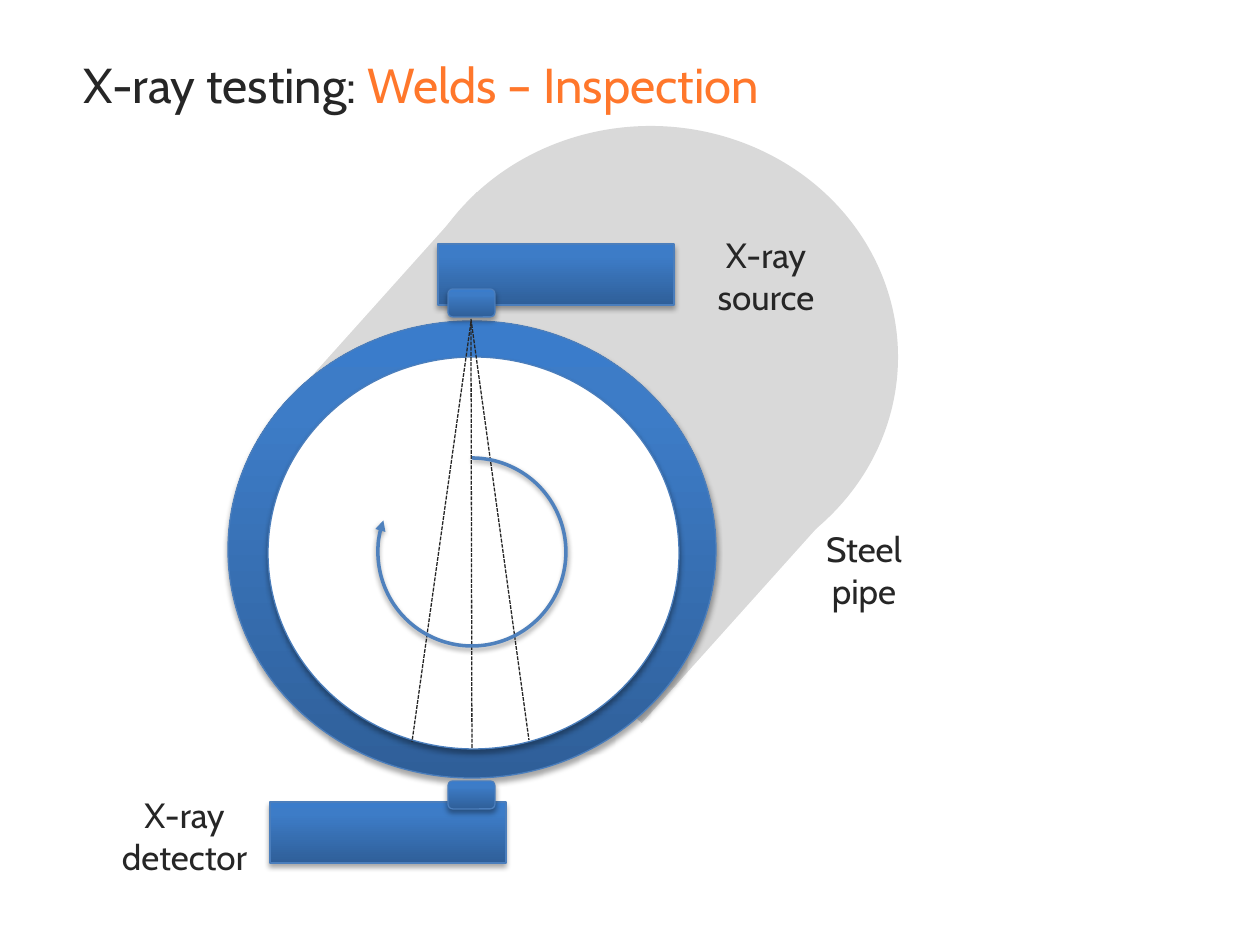
import pptx
import pptx.util
import pptx.dml.color
import pptx.enum.dml
import pptx.enum.shapes
import pptx.enum.text
import pptx.oxml
import pptx.oxml.ns

KIND = pptx.enum.shapes.MSO_SHAPE
ALIGN = pptx.enum.text.PP_ALIGN
NS = pptx.oxml.ns.nsdecls("a")
FONT = "Cabin"
HUES = {
    "ink": "262626", "accent": "FF772B", "pipe": "D9D9D9", "white": "FFFFFF",
    "edge": "4B7EBC", "turn": "4F81BD", "black": "000000",
    "dark": "2F5F99", "mid": "3D7CC7", "light": "3A7CCB",
}
STEEL = [(0, "dark"), (80, "mid"), (100, "light")]


def px(num):
    return pptx.util.Emu(round(num * 914400 / 126))


def hue(name):
    return pptx.dml.color.RGBColor.from_string(HUES[name])


def paint(shape, fill):
    if fill is None:
        shape.fill.background()
    elif fill == "steel":
        shape.fill.gradient()
        shape.fill.gradient_angle = 90
        stops = shape._element.spPr.find(".//" + pptx.oxml.ns.qn("a:gsLst"))
        for old in list(stops):
            stops.remove(old)
        for pos, name in STEEL:
            stops.append(pptx.oxml.parse_xml(
                f'<a:gs {NS} pos="{pos * 1000}"><a:srgbClr val="{HUES[name]}"/></a:gs>'))
    else:
        shape.fill.solid()
        shape.fill.fore_color.rgb = hue(fill)


def shade(shape, alpha, drop):
    effects = shape._element.spPr.find(pptx.oxml.ns.qn("a:effectLst"))
    effects.append(pptx.oxml.parse_xml(
        f'<a:outerShdw {NS} blurRad="{pptx.util.Pt(3.1)}" dist="{pptx.util.Pt(drop)}" '
        f'dir="5400000" rotWithShape="0"><a:srgbClr val="{HUES["black"]}">'
        f'<a:alpha val="{alpha * 1000}"/></a:srgbClr></a:outerShdw>'))


def add_form(shapes, kind, box, fill, line=None, width=0.75):
    shape = shapes.add_shape(kind, *map(px, box))
    shape.shadow.inherit = False
    paint(shape, fill)
    if line:
        shape.line.color.rgb = hue(line)
        shape.line.width = pptx.util.Pt(width)
    else:
        shape.line.fill.background()
    return shape


def add_part(shapes, kind, box, fill="steel"):
    shade(add_form(shapes, kind, box, fill, "edge"), 35, 1.8)


def add_unit(shapes, body, head):
    add_part(shapes, KIND.RECTANGLE, (*body, 236, 61))
    add_part(shapes, KIND.ROUNDED_RECTANGLE, (*head, 47, 28))


def add_ray(shapes, start, end):
    ray = shapes.add_connector(
        pptx.enum.shapes.MSO_CONNECTOR.STRAIGHT, *map(px, start + end))
    ray.line.color.rgb = hue("ink")
    ray.line.width = pptx.util.Pt(0.75)
    ray.line.dash_style = pptx.enum.dml.MSO_LINE.SQUARE_DOT
    ray._element.spPr.append(pptx.oxml.parse_xml(f"<a:effectLst {NS}/>"))


def add_turn(shapes, box):
    arc = add_form(shapes, KIND.ARC, box, None, "turn", 2)
    arc.adjustments[0] = 162
    arc.adjustments[1] = 119.79
    arc.line._get_or_add_ln().append(
        pptx.oxml.parse_xml(f'<a:tailEnd {NS} type="triangle"/>'))
    shade(arc, 38, 1.6)


def add_text(shapes, box, lines, size, align=ALIGN.CENTER):
    frame = shapes.add_textbox(*map(px, box)).text_frame
    frame.word_wrap = True
    for num, runs in enumerate(lines):
        para = frame.add_paragraph() if num else frame.paragraphs[0]
        para.alignment = align
        for text, color in runs:
            run = para.add_run()
            run.text = text
            run.font.name = FONT
            run.font.size = pptx.util.Pt(size)
            run.font.color.rgb = hue(color)


def add_label(shapes, box, *words):
    add_text(shapes, box, [[(word, "ink")] for word in words], 20)


def main():
    deck = pptx.Presentation()
    deck.slide_width, deck.slide_height = px(1260), px(945)
    shapes = deck.slides.add_slide(deck.slide_layouts[6]).shapes

    side = add_form(shapes, KIND.RECTANGLE, (416, 218, 287, 479), "pipe", "white")
    side.rotation = 311.9
    add_form(shapes, KIND.OVAL, (403, 126, 495, 462), "pipe")
    add_text(shapes, (71, 48, 1139, 72),
             [[("X-ray testing: ", "ink"), ("Welds – Inspection", "accent")]],
             28, ALIGN.LEFT)
    add_part(shapes, KIND.OVAL, (228, 321, 488, 457))
    add_part(shapes, KIND.OVAL, (268, 357, 411, 392), "white")

    units = shapes.add_group_shape().shapes
    add_unit(units, (438, 244), (448, 289))
    add_unit(units, (270, 802), (448, 781))

    rays = shapes.add_group_shape().shapes
    for start, end in (((471, 322), (412, 742)),
                       ((471, 319), (529, 740)),
                       ((471, 321), (472, 748))):
        add_ray(rays, start, end)

    add_label(shapes, (688, 227, 156, 97), "X-ray", "source")
    add_label(shapes, (98, 787, 173, 97), "X-ray", "detector")
    add_turn(shapes, (378, 458, 188, 188))
    add_label(shapes, (786, 521, 156, 97), "Steel", "pipe")
    deck.save("out.pptx")


if __name__ == "__main__":
    main()
